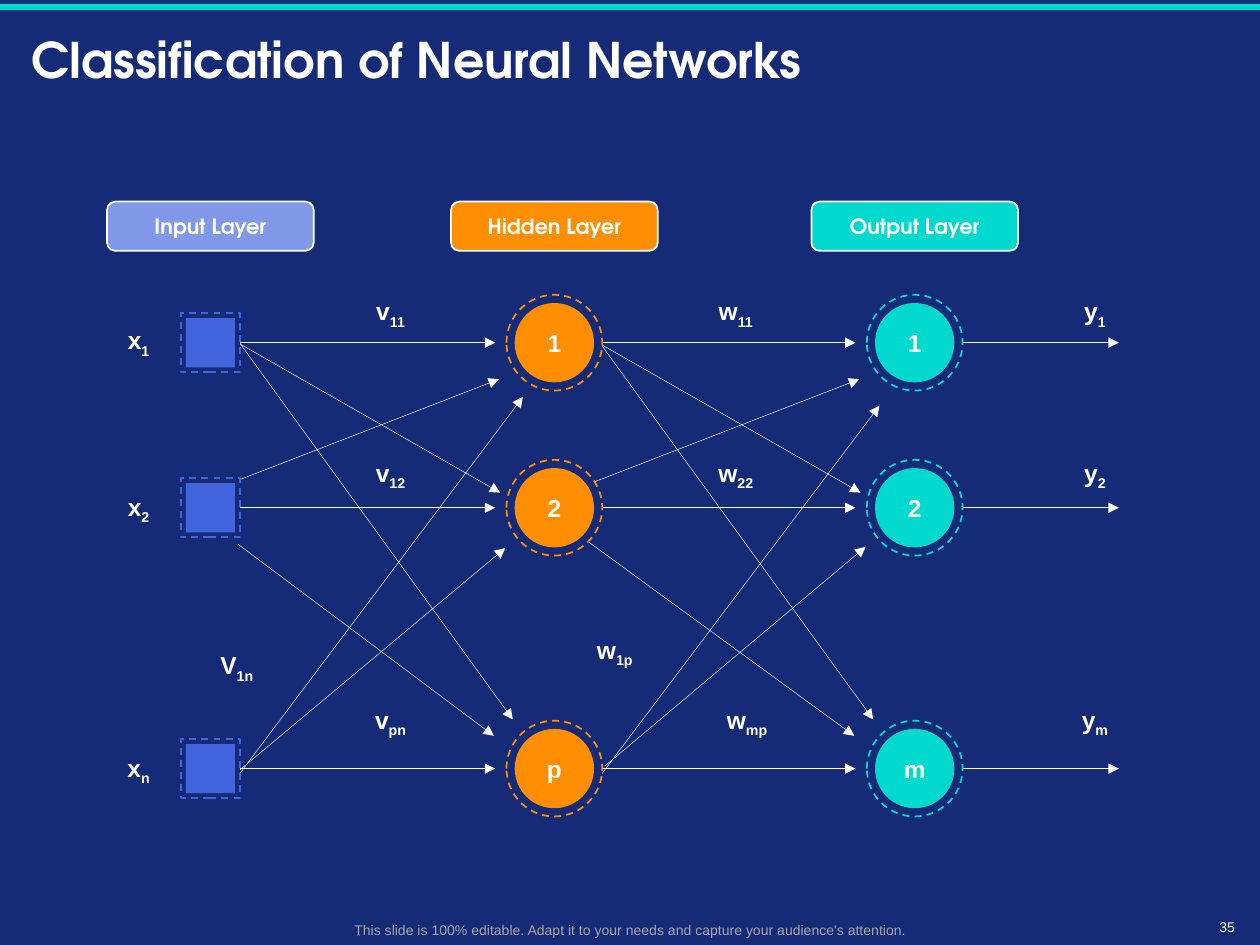
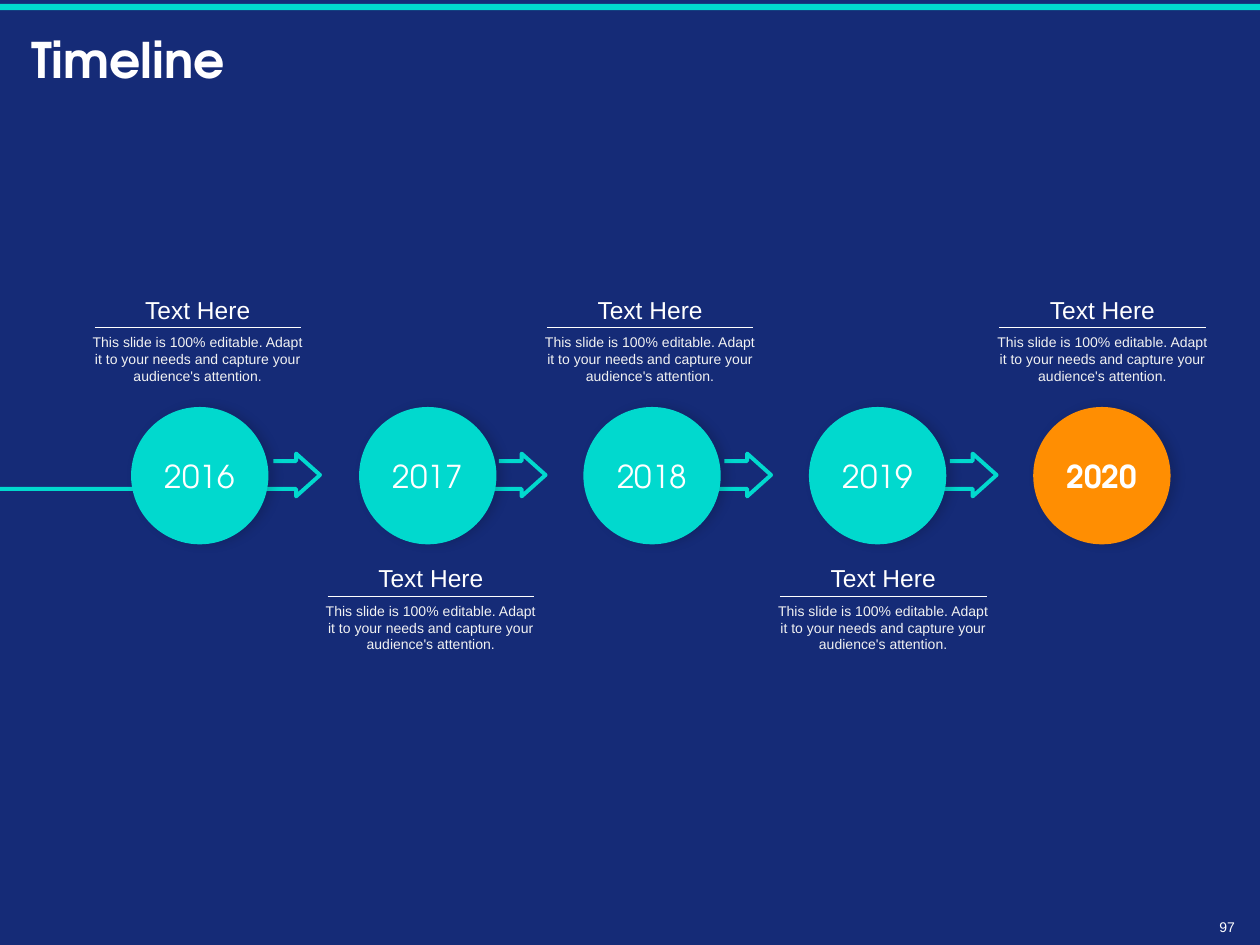
from lxml import etree
from pptx import Presentation
from pptx.dml.color import RGBColor
from pptx.enum.dml import MSO_LINE
from pptx.enum.shapes import MSO_CONNECTOR, MSO_SHAPE
from pptx.enum.text import MSO_ANCHOR, PP_ALIGN
from pptx.oxml.ns import qn
from pptx.util import Inches, Pt

OVAL, RECT, ROUND = MSO_SHAPE.OVAL, MSO_SHAPE.RECTANGLE, MSO_SHAPE.ROUNDED_RECTANGLE
STRAIGHT, DASH = MSO_CONNECTOR.STRAIGHT, MSO_LINE.DASH
LEFT, CENTER, RIGHT = PP_ALIGN.LEFT, PP_ALIGN.CENTER, PP_ALIGN.RIGHT
TOP, MIDDLE = MSO_ANCHOR.TOP, MSO_ANCHOR.MIDDLE

COLORS = {"navy": "152B77", "teal": "01D9CE", "orange": "FF8E02", "blue": "4265DE",
          "pale": "8198E9", "white": "FFFFFF", "soft": "F2F2F2", "gray": "A6A6A6"}
HEAD, BODY = "TeX Gyre Adventor", "Arial"
STYLES = {
    "title": {"name": HEAD, "size": Pt(28), "bold": True},
    "layer": {"name": HEAD, "size": Pt(12), "bold": True},
    "year": {"name": HEAD, "size": Pt(18), "bold": False},
    "now": {"name": HEAD, "size": Pt(18), "bold": True},
    "node": {"name": BODY, "size": Pt(14), "bold": True},
    "topic": {"name": BODY, "size": Pt(14), "bold": False},
    "small": {"name": BODY, "size": Pt(8), "bold": False},
}
BLURB = ("This slide is 100% editable. Adapt it to your needs "
         "and capture your audience's attention.")

ROWS = (2.72, 4.03, 6.1)
STEP = 2.86  # distance from hidden layer to output layer
LAYERS = (  # name, head color, head left, node color, node centre, node labels
    ("Input Layer", "pale", 0.85, "blue", 1.67, ("", "", "")),
    ("Hidden Layer", "orange", 3.58, "orange", 4.4, ("1", "2", "p")),
    ("Output Layer", "teal", 6.44, "teal", 7.26, ("1", "2", "m")),
)
SHARED = (  # links that both gaps between layers have
    (1.85, 2.65, 4.07, 5.71), (1.87, 2.71, 3.97, 3.91), (1.74, 3.87, 3.96, 3.01),
)
LINKS = (
    (1.89, 4.32, 3.92, 5.84), (1.88, 6.13, 4.01, 4.35), (1.82, 6.25, 4.15, 3.15),
    (4.67, 4.3, 6.78, 5.84), (4.8, 6.08, 6.87, 4.34), (4.74, 6.19, 6.98, 3.22),
)
MARKS = (  # letter, subscript, centre x, centre y
    ("x", "1", 1.1, 2.71), ("x", "2", 1.1, 4.03), ("x", "n", 1.1, 6.1),
    ("v", "11", 3.1, 2.48), ("v", "12", 3.1, 3.76), ("v", "pn", 3.1, 5.72),
    ("w", "11", 5.84, 2.48), ("w", "22", 5.84, 3.76), ("w", "mp", 5.93, 5.72),
    ("y", "1", 8.69, 2.48), ("y", "2", 8.69, 3.76), ("y", "m", 8.69, 5.72),
    ("V", "1n", 1.88, 5.29), ("w", "1p", 4.88, 5.17),
)
YEARS = (  # year, circle left, note centre
    ("2016", 1.04, 1.57), ("2017", 2.85, 3.42), ("2018", 4.63, 5.16),
    ("2019", 6.42, 7.01), ("2020", 8.2, 8.75),
)


def rgb(color):
    return RGBColor.from_string(COLORS[color])


def write(frame, text, style, color="white", align=CENTER, sub=""):
    """Fill a text frame with one paragraph, with an optional subscript."""
    par = frame.paragraphs[0]
    par.alignment = align
    for part in filter(None, (text, sub)):
        run = par.add_run()
        run.text = part
        for key, value in STYLES[style].items():
            setattr(run.font, key, value)
        run.font.color.rgb = rgb(color)
    if sub:
        run.font._element.set("baseline", "-25000")
    return par


def add_text(slide, box, text, style, anchor=MIDDLE, wrap=True, **look):
    frame = slide.shapes.add_textbox(*map(Inches, box)).text_frame
    frame.word_wrap = wrap
    frame.vertical_anchor = anchor
    return write(frame, text, style, **look)


def outline(shape, color, width):
    shape.line.color.rgb = rgb(color)
    shape.line.width = Pt(width)


def add_shape(slide, kind, box, fill, line=None):
    shape = slide.shapes.add_shape(kind, *map(Inches, box))
    shape.shadow.inherit = False
    shape.fill.solid()
    shape.fill.fore_color.rgb = rgb(fill)
    if line:
        outline(shape, line, 1)
    else:
        shape.line.fill.background()
    return shape


def label(shape, text, style):
    frame = shape.text_frame
    frame.margin_left = frame.margin_right = 0
    frame.word_wrap = False
    frame.vertical_anchor = MIDDLE
    write(frame, text, style)


def add_line(slide, ends, width=0.5, arrow=False):
    line = slide.shapes.add_connector(STRAIGHT, *map(Inches, ends))
    outline(line, "white", width)
    if arrow:
        etree.SubElement(line.line._get_or_add_ln(), qn("a:tailEnd"), type="triangle")
    etree.SubElement(line._element.spPr, qn("a:effectLst"))


def add_shadow(shape):
    effects = shape._element.spPr.find(qn("a:effectLst"))
    outer = etree.SubElement(effects, qn("a:outerShdw"), blurRad=str(Pt(6)),
                             dist=str(Pt(3)), dir="0", algn="l", rotWithShape="0")
    black = etree.SubElement(outer, qn("a:srgbClr"), val="000000")
    etree.SubElement(black, qn("a:alpha"), val="15000")


def add_slide(deck, title, number):
    """Start a slide with the shared background, band, title and number."""
    slide = deck.slides.add_slide(deck.slide_layouts[6])
    back = slide.background.fill
    back.solid()
    back.fore_color.rgb = rgb("navy")
    add_shape(slide, RECT, (0, 0.03, 10, 0.05), "teal")
    par = add_text(slide, (0.15, 0.11, 9.7, 0.78), title, "title", align=LEFT)
    par.line_spacing = 0.9
    add_text(slide, (9.48, 7.25, 0.42, 0.21), number, "small", align=RIGHT)
    return slide


def add_node(slide, kind, x, y, sizes, color):
    """Draw a dashed ring and the solid core centred in it."""
    for size, fill, line in zip(sizes, ("navy", color), (color, None)):
        box = (x - size / 2, y - size / 2, size, size)
        shape = add_shape(slide, kind, box, fill, line)
        if line:
            shape.line.dash_style = DASH
    return shape


def add_links(slide):
    for x1, y1, x2, y2 in SHARED:
        for shift in (0, STEP):
            add_line(slide, (x1 + shift, y1, x2 + shift, y2), 0.25, True)
    for ends in LINKS:
        add_line(slide, ends, 0.25, True)
    for y in ROWS:
        for start, end in ((1.86, 3.93), (4.72, 6.79), (7.64, 8.88)):
            add_line(slide, (start, y, end, y), arrow=True)


def add_layer(slide, name, fill, left, color, x, names):
    label(add_shape(slide, ROUND, (left, 1.6, 1.64, 0.39), fill, "white"), name, "layer")
    for y, text in zip(ROWS, names):
        if text:
            label(add_node(slide, OVAL, x, y, (0.76, 0.63), color), text, "node")
        else:
            add_node(slide, RECT, x, y, (0.47, 0.39), color)


def add_arrow(slide, start, tip):
    """Draw the open outline of an arrow, its lower edge drawn back to start."""
    neck = tip - 0.19
    points = [(tip - 0.37, 3.66), (neck, 3.66), (neck, 3.6), (tip, 3.77),
              (neck, 3.94), (neck, 3.88), (start, 3.88)]
    first, *rest = [(Inches(x), Inches(y)) for x, y in points]
    pen = slide.shapes.build_freeform(*first)
    pen.add_line_segments(rest, close=False)
    shape = pen.convert_to_shape()
    shape.shadow.inherit = False
    shape.fill.background()
    outline(shape, "teal", 2.25)


def add_note(slide, x, y):
    add_text(slide, (x - 0.52, y - 0.31, 1.04, 0.34), "Text Here", "topic",
             anchor=TOP, wrap=False)
    add_line(slide, (x - 0.82, y, x + 0.82, y))
    add_text(slide, (x - 0.96, y, 1.92, 0.5), BLURB, "small", color="soft")


def draw_network(deck):
    slide = add_slide(deck, "Classification of Neural Networks", "35")
    add_links(slide)
    for layer in LAYERS:
        add_layer(slide, *layer)
    for text, sub, x, y in MARKS:
        add_text(slide, (x - 0.4, y - 0.17, 0.8, 0.35), text, "node", sub=sub)
    add_text(slide, (0.47, 7.26, 9.07, 0.24), BLURB, "small", color="gray")


def draw_timeline(deck):
    slide = add_slide(deck, "Timeline", "97")
    last = len(YEARS) - 1
    for i, (year, left, x) in enumerate(YEARS):
        if i < last:
            add_arrow(slide, left + 0.26 if i else 0, 2.54 + 1.79 * i)
        fill, style = ("teal", "year") if i < last else ("orange", "now")
        circle = add_shape(slide, OVAL, (left, 3.23, 1.09, 1.09), fill)
        add_shadow(circle)
        label(circle, year, style)
        add_note(slide, x, 4.73 if i % 2 else 2.6)


def main():
    deck = Presentation()
    deck.slide_width, deck.slide_height = Inches(10), Inches(7.5)
    draw_network(deck)
    draw_timeline(deck)
    deck.save("out.pptx")


if __name__ == "__main__":
    main()
